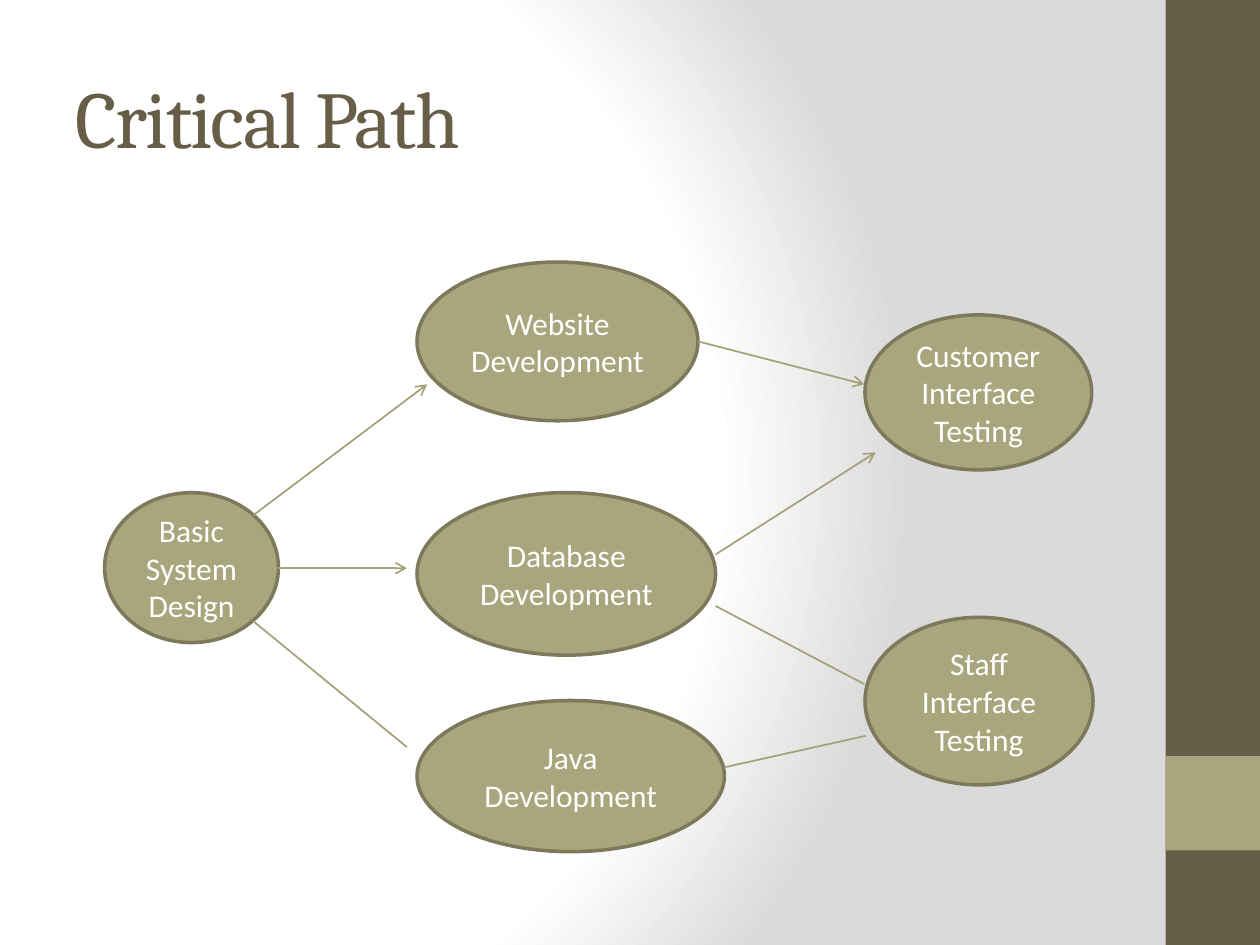
from pptx import Presentation
from pptx.dml.color import RGBColor
from pptx.enum.shapes import MSO_CONNECTOR, MSO_SHAPE
from pptx.enum.text import MSO_ANCHOR, PP_ALIGN
from pptx.oxml import parse_xml
from pptx.oxml.ns import nsdecls, qn
from pptx.util import Inches, Pt
from lxml.etree import SubElement

WIDE, HIGH = Inches(10), Inches(7.5)
DARK, SAGE, EDGE, WIRE, WHITE = "675E47", "A9A57C", "7D7A5C", "A6A278", "FFFFFF"
LEFT, MID, RIGHT = 8.3, 33.1, 68.65

NODES = [
    ("Basic System Design", LEFT, 52.13, 13.8, 15.87),
    ("Website Development", MID, 27.73, 22.3, 16.8),
    ("Database Development", MID, 52.13, 23.7, 17.2),
    ("Java Development", MID, 74.13, 24.4, 16),
    ("Customer Interface Testing", RIGHT, 33.33, 18, 16.4),
    ("Staff Interface Testing", RIGHT, 65.33, 18.1, 17.73),
]
ARROWS = [
    (20.1, 54.53, 33.9, 40.67),
    (22.1, 60.13, 32.3, 60.13),
    (55.4, 36.13, 68.6, 40.67),
    (56.8, 58.67, 69.5, 47.87),
]
LINES = [
    (20.1, 65.73, 32.3, 79.07),
    (57.5, 81.2, 68.7, 77.87),
    (56.8, 64.13, 68.6, 72.4),
]


def color(code):
    return RGBColor.from_string(code)


def share(*spots):
    return [int((HIGH if i % 2 else WIDE) * s / 100) for i, s in enumerate(spots)]


def paint(slide):
    stops = "".join(
        f'<a:gs pos="{pos * 1000}"><a:srgbClr val="{code}"/></a:gs>'
        for pos, code in ((0, WHITE), (75, WHITE), (100, "DADADA")))
    slide.element.cSld.insert(0, parse_xml(
        f'<p:bg {nsdecls("p", "a")}><p:bgPr><a:gradFill rotWithShape="1">'
        f'<a:gsLst>{stops}</a:gsLst><a:path path="circle">'
        '<a:fillToRect l="20000" t="50000" r="100000" b="50000"/></a:path>'
        '</a:gradFill><a:effectLst/></p:bgPr></p:bg>'))


def write(shape, text, align, look):
    frame = shape.text_frame
    frame.word_wrap = True
    frame.vertical_anchor = MSO_ANCHOR.MIDDLE
    para = frame.paragraphs[0]
    para.alignment = align
    run = para.add_run()
    run.text = text
    run.font.color.rgb = color(look["color"])
    for key in ("name", "size"):
        setattr(run.font, key, look[key])
    return run


def block(slide, kind, box, fill, edge=None):
    shape = slide.shapes.add_shape(kind, *share(*box))
    shape.shadow.inherit = False
    shape.fill.solid()
    shape.fill.fore_color.rgb = color(fill)
    if edge:
        shape.line.color.rgb = color(edge)
        shape.line.width = Pt(2)
    else:
        shape.line.fill.background()
    return shape


def title(slide, text):
    box = slide.shapes.add_textbox(*share(5, 4, 83.3, 16.67))
    look = {"name": "Cambria", "size": Pt(46), "color": DARK}
    run = write(box, text, PP_ALIGN.LEFT, look)
    run.font._element.set("spc", "-100")


def node(slide, text, *box):
    shape = block(slide, MSO_SHAPE.OVAL, box, SAGE, EDGE)
    look = {"name": "Calibri", "size": Pt(18), "color": WHITE}
    write(shape, text, PP_ALIGN.CENTER, look)


def link(slide, ends, head):
    wire = slide.shapes.add_connector(MSO_CONNECTOR.STRAIGHT, *share(*ends))
    wire.line.color.rgb = color(WIRE)
    wire.line.width = Pt(1)
    if head:
        SubElement(wire.line._get_or_add_ln(), qn("a:tailEnd"), type="arrow")
    SubElement(wire._element.spPr, qn("a:effectLst"))


def main():
    deck = Presentation()
    deck.slide_width, deck.slide_height = WIDE, HIGH
    slide = deck.slides.add_slide(deck.slide_layouts[6])
    paint(slide)
    block(slide, MSO_SHAPE.RECTANGLE, (92.5, 0, 7.5, 100), DARK)
    block(slide, MSO_SHAPE.RECTANGLE, (92.5, 80, 7.5, 10), SAGE)
    title(slide, "Critical Path")
    for item in NODES:
        node(slide, *item)
    for group, head in ((ARROWS, True), (LINES, False)):
        for ends in group:
            link(slide, ends, head)
    deck.save("out.pptx")


main()
